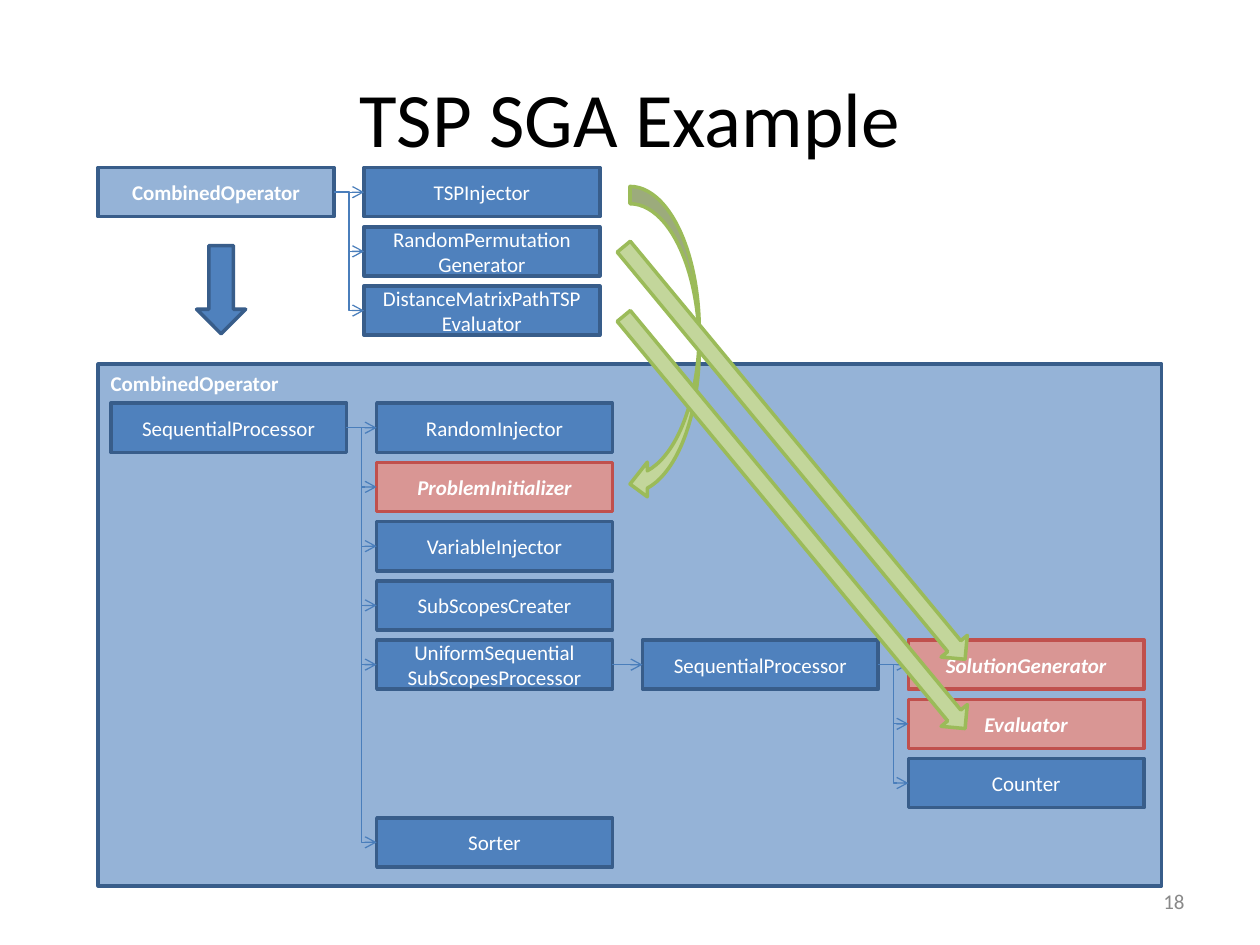
from dataclasses import dataclass
from typing import Optional

from lxml import etree
from pptx import Presentation
from pptx.dml.color import RGBColor
from pptx.enum.shapes import MSO_CONNECTOR as Conn, MSO_SHAPE as Shape
from pptx.enum.text import MSO_ANCHOR as Anchor, PP_ALIGN as Align
from pptx.oxml.ns import qn
from pptx.util import Inches, Pt


@dataclass(frozen=True)
class Theme:
    font: str = "Calibri"
    title_size: float = 44
    label_size: float = 12
    outline: float = 2
    link_width: float = 0.75
    black: str = "000000"
    white: str = "FFFFFF"
    grey: str = "898989"
    blue: str = "4F81BD"
    pale_blue: str = "95B3D7"
    dark_blue: str = "385D8A"
    link: str = "4A7EBB"
    pink: str = "D99694"
    red: str = "C0504D"
    pale_green: str = "C3D69B"
    green: str = "9BBB59"


T = Theme()


@dataclass(frozen=True)
class Style:
    fill: str
    line: str
    bold: bool = False
    italic: bool = False


STEP = Style(T.blue, T.dark_blue)
COMBINED = Style(T.pale_blue, T.dark_blue, bold=True)
SLOT = Style(T.pink, T.red, bold=True, italic=True)
MAPPING = Style(T.pale_green, T.green)


@dataclass(frozen=True)
class Node:
    key: str
    text: str
    col: int
    row: int
    style: Style = STEP
    parent: Optional[str] = None


@dataclass(frozen=True)
class Grid:
    left: float
    top: float
    nodes: tuple[Node, ...]


# Boxes are laid out on grids with a common pitch
BOX_W, BOX_H = 1.87, 0.39
COL_PITCH, ROW_PITCH = 2.11, 0.47

PROBLEM = Grid(0.78, 1.33, (
    Node("combined", "CombinedOperator", 0, 0, COMBINED),
    Node("tsp", "TSPInjector", 1, 0, parent="combined"),
    Node("permutation", "RandomPermutation\nGenerator", 1, 1, parent="combined"),
    Node("distance", "DistanceMatrixPathTSP\nEvaluator", 1, 2, parent="combined"),
))
ALGORITHM = Grid(0.88, 3.2, (
    Node("main", "SequentialProcessor", 0, 0),
    Node("random", "RandomInjector", 1, 0, parent="main"),
    Node("problem", "ProblemInitializer", 1, 1, SLOT, "main"),
    Node("variable", "VariableInjector", 1, 2, parent="main"),
    Node("creater", "SubScopesCreater", 1, 3, parent="main"),
    Node("uniform", "UniformSequential\nSubScopesProcessor", 1, 4, parent="main"),
    Node("sorter", "Sorter", 1, 7, parent="main"),
    Node("inner", "SequentialProcessor", 2, 4, parent="uniform"),
    Node("solution", "SolutionGenerator", 3, 4, SLOT, "inner"),
    Node("evaluator", "Evaluator", 3, 5, SLOT, "inner"),
    Node("counter", "Counter", 3, 6, parent="inner"),
))


def rgb(color: str) -> RGBColor:
    return RGBColor.from_string(color)


def write(sp, text: str, color: str, size: float = T.label_size, align=Align.CENTER,
          anchor=Anchor.MIDDLE, bold: bool = False, italic: bool = False) -> None:
    tf = sp.text_frame
    tf.word_wrap = True
    tf.vertical_anchor = anchor
    font = {"name": T.font, "size": Pt(size), "bold": bold, "italic": italic}
    for i, line in enumerate(text.split("\n")):
        p = tf.paragraphs[0] if i == 0 else tf.add_paragraph()
        p.alignment = align
        r = p.add_run()
        r.text = line
        for name, value in font.items():
            setattr(r.font, name, value)
        r.font.color.rgb = rgb(color)


def add_text(s, box: tuple, text: str, color: str, **fmt) -> None:
    write(s.shapes.add_textbox(*map(Inches, box)), text, color, **fmt)


def add_shape(s, kind, box: tuple, style: Style, rotation: float = 0):
    sp = s.shapes.add_shape(kind, *map(Inches, box))
    sp.shadow.inherit = False
    sp.fill.solid()
    sp.fill.fore_color.rgb = rgb(style.fill)
    sp.line.color.rgb = rgb(style.line)
    sp.line.width = Pt(T.outline)
    sp.rotation = rotation
    return sp


def add_link(s, parent, child) -> None:
    cx = s.shapes.add_connector(Conn.ELBOW, 0, 0, 0, 0)
    cx.begin_connect(parent, 3)
    cx.end_connect(child, 1)
    cx.line.color.rgb = rgb(T.link)
    cx.line.width = Pt(T.link_width)
    etree.SubElement(cx.line._get_or_add_ln(), qn("a:tailEnd"), type="arrow")
    etree.SubElement(cx._element.spPr, qn("a:effectLst"))


def add_grid(s, grid: Grid) -> None:
    boxes = {}
    for n in grid.nodes:
        place = (grid.left + n.col * COL_PITCH, grid.top + n.row * ROW_PITCH, BOX_W, BOX_H)
        sp = add_shape(s, Shape.FLOWCHART_PROCESS, place, n.style)
        write(sp, n.text, T.white, bold=n.style.bold, italic=n.style.italic)
        boxes[n.key] = sp
    for n in grid.nodes:
        if n.parent:
            add_link(s, boxes[n.parent], boxes[n.key])


def main() -> None:
    prs = Presentation()
    prs.slide_width, prs.slide_height = Inches(10), Inches(7.5)
    s = prs.slides.add_slide(prs.slide_layouts[6])

    # Title
    add_text(s, (0.5, 0.3, 9, 1.25), "TSP SGA Example", T.black, size=T.title_size)

    # Algorithm panel with its operators
    panel = add_shape(s, Shape.FLOWCHART_PROCESS, (0.78, 2.89, 8.44, 4.14), COMBINED)
    write(panel, "CombinedOperator", T.white, align=Align.LEFT, anchor=Anchor.TOP, bold=True)
    add_grid(s, ALGORITHM)

    # Problem-specific operators
    add_grid(s, PROBLEM)

    # Slide number
    add_text(s, (7.17, 6.95, 2.33, 0.4), "18", T.grey, align=Align.RIGHT)

    # Arrows from the problem operators to the slots they fill
    add_shape(s, Shape.CURVED_LEFT_ARROW, (5, 1.48, 0.55, 2.5), MAPPING)
    for top in (4.01, 3.46):
        add_shape(s, Shape.RIGHT_ARROW, (4.18, top, 4.25, 0.27), MAPPING, rotation=50.4)
    add_shape(s, Shape.DOWN_ARROW, (1.56, 1.95, 0.39, 0.7), STEP)

    prs.save("out.pptx")


if __name__ == "__main__":
    main()
